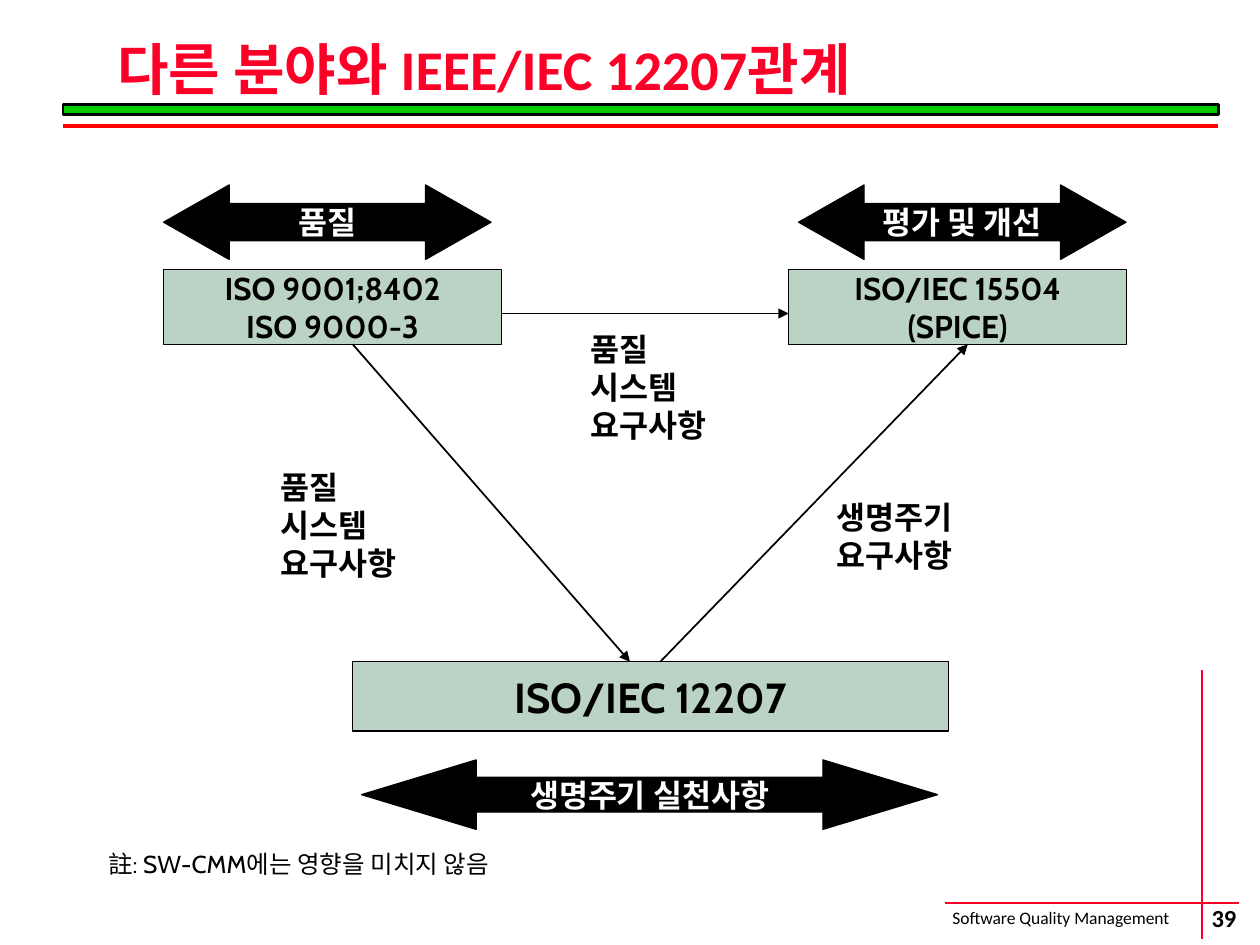
"""Build a slide on how ISO/IEC 12207 relates to other standards."""
from dataclasses import dataclass

from lxml.etree import SubElement
from pptx import Presentation
from pptx.dml.color import RGBColor as RGB
from pptx.enum.shapes import MSO_CONNECTOR as Conn, MSO_SHAPE as Shape
from pptx.enum.text import MSO_ANCHOR as Anchor, MSO_AUTO_SIZE as Fit, PP_ALIGN as Align
from pptx.oxml.ns import qn
from pptx.util import Cm, Pt


@dataclass(frozen=True)
class Theme:
    """Colours, fonts and type sizes of the slide."""
    black: RGB = RGB(0, 0, 0)
    white: RGB = RGB(255, 255, 255)
    note: RGB = RGB(1, 1, 3)
    accent: RGB = RGB(0xFC, 0x01, 0x28)
    red: RGB = RGB(255, 0, 0)
    green: RGB = RGB(0, 0xCC, 0)
    box: RGB = RGB(0xBB, 0xD3, 0xC5)
    head_font: str = "Calibri"
    body_font: str = "Cabin"
    title: int = 32
    major: int = 24
    body: int = 18
    small: int = 14
    footer: int = 10


T = Theme()


def write(shape, text, size, color, font=T.body_font, bold=True, align=Align.LEFT):
    """Fill a shape with one formatted paragraph per line of text."""
    tf = shape.text_frame
    tf.text = text
    tf.word_wrap = False
    for p in tf.paragraphs:
        p.alignment = align
        p.font.size, p.font.name, p.font.bold = Pt(size), font, bold
        p.font.color.rgb = color
    return tf


def add_text(s, x, y, w, h, text, size, color=T.black, **style):
    """Add a text box that grows with its text."""
    tb = s.shapes.add_textbox(Cm(x), Cm(y), Cm(w), Cm(h))
    tf = write(tb, text, size, color, **style)
    tf.auto_size = Fit.SHAPE_TO_FIT_TEXT
    return tf


def add_block(s, kind, x, y, w, h, fill, line=0.75):
    """Add a filled preset shape with a black outline."""
    sp = s.shapes.add_shape(kind, Cm(x), Cm(y), Cm(w), Cm(h))
    sp.shadow.inherit = False
    sp.fill.solid()
    sp.fill.fore_color.rgb = fill
    sp.line.color.rgb = T.black
    sp.line.width = Pt(line)
    return sp


def add_line(s, x1, y1, x2, y2, color=T.black, width=1, arrow=False):
    """Add a straight line, with an arrowhead at its end if asked."""
    c = s.shapes.add_connector(Conn.STRAIGHT, Cm(x1), Cm(y1), Cm(x2), Cm(y2))
    c.line.color.rgb = color
    c.line.width = Pt(width)
    if arrow:
        SubElement(c.line._get_or_add_ln(), qn("a:tailEnd"), type="triangle", w="med", len="med")
    SubElement(c._element.spPr, qn("a:effectLst"))


def add_header(s, x, y, w, text):
    """Place the title above a green bar and a red rule."""
    add_block(s, Shape.RECTANGLE, x, y + 1.27, w, 0.2, T.green, 1.5)
    add_line(s, x, y + 1.7, x + w, y + 1.7, T.red, 2.25)
    title = s.shapes.title
    title.left, title.top, title.width, title.height = Cm(x + 0.84), Cm(y), Cm(w - 0.91), Cm(1.22)
    tf = write(title, text, T.title, T.accent, T.head_font)
    tf.auto_size = Fit.NONE
    tf.vertical_anchor = Anchor.MIDDLE
    tf.paragraphs[0].line_spacing = 0.9


def add_footer(s, x, y, w, text, number):
    """Place the footer and page number around two crossing red rules."""
    add_line(s, x, y, x + w, y, T.accent)
    add_line(s, x + 5.18, y - 4.7, x + 5.18, y + 0.71, T.accent)
    add_text(s, x - 0.1, y - 0.05, 5.56, 0.69, text, T.footer, font=T.head_font, bold=False)
    tf = add_text(s, x + 4.37, y - 0.07, 2.51, 0.71, number, T.small,
                  font=T.head_font, align=Align.CENTER)
    tf.margin_left = tf.margin_right = tf.margin_top = tf.margin_bottom = 0
    tf.vertical_anchor = Anchor.MIDDLE


def add_standard(s, x, y, w, h, name, role, arrow_dx, arrow_dy, arrow_w, head, size=T.body):
    """Place a standard's box and the double arrow that names its role."""
    arrow = add_block(s, Shape.LEFT_RIGHT_ARROW, x + arrow_dx, y + arrow_dy, arrow_w, h, T.black)
    arrow.adjustments[1] = head
    box = add_block(s, Shape.RECTANGLE, x, y, w, h, T.box)
    for sp, text, pt, color in ((arrow, role, T.body, T.white), (box, name, size, T.black)):
        tf = write(sp, text, pt, color, align=Align.CENTER)
        tf.vertical_anchor = Anchor.MIDDLE


def add_diagram(s, x, y):
    """Place the three standards with the labelled arrows between them."""
    add_standard(s, x, y, 6.81, 1.5, "ISO 9001;8402\nISO 9000-3", "품질", 0, -1.71, 6.6, 0.88)
    add_standard(s, x + 12.6, y, 6.81, 1.5, "ISO/IEC 15504\n(SPICE)", "평가 및 개선",
                 0.2, -1.71, 6.6, 0.88)
    add_standard(s, x + 3.81, y + 7.9, 12.01, 1.4, "ISO/IEC 12207", "생명주기 실천사항",
                 0.18, 1.98, 11.61, 1.65, T.major)
    system = "품질 시스템\n요구사항"
    for (x1, y1, x2, y2), (tx, ty, tw), text in (
            ((3.81, 1.5, 9.4, 7.9), (2.11, 3.88, 3.56), system),
            ((6.81, 0.88, 12.6, 0.88), (8.36, 1.09, 3.56), system),
            ((10.01, 7.9, 16.21, 1.5), (13.31, 4.47, 2.84), "생명주기\n요구사항")):
        add_line(s, x + x1, y + y1, x + x2, y + y2, arrow=True)
        add_text(s, x + tx, y + ty, tw, 1.78, text, T.body)


def main():
    """Build and save the slide."""
    prs = Presentation()
    prs.slide_width, prs.slide_height = Cm(25.4), Cm(19.05)
    s = prs.slides.add_slide(prs.slide_layouts[5])
    add_footer(s, 19.05, 18.21, 5.92, "Software Quality Management", "39")
    add_header(s, 1.27, 0.84, 23.29, "다른 분야와 IEEE/IEC 12207관계")
    add_diagram(s, 3.3, 5.44)
    add_text(s, 1.93, 16.99, 8.48, 0.86, "註: SW-CMM에는 영향을 미치지 않음", T.small, T.note, bold=False)
    prs.save("out.pptx")


if __name__ == "__main__":
    main()
